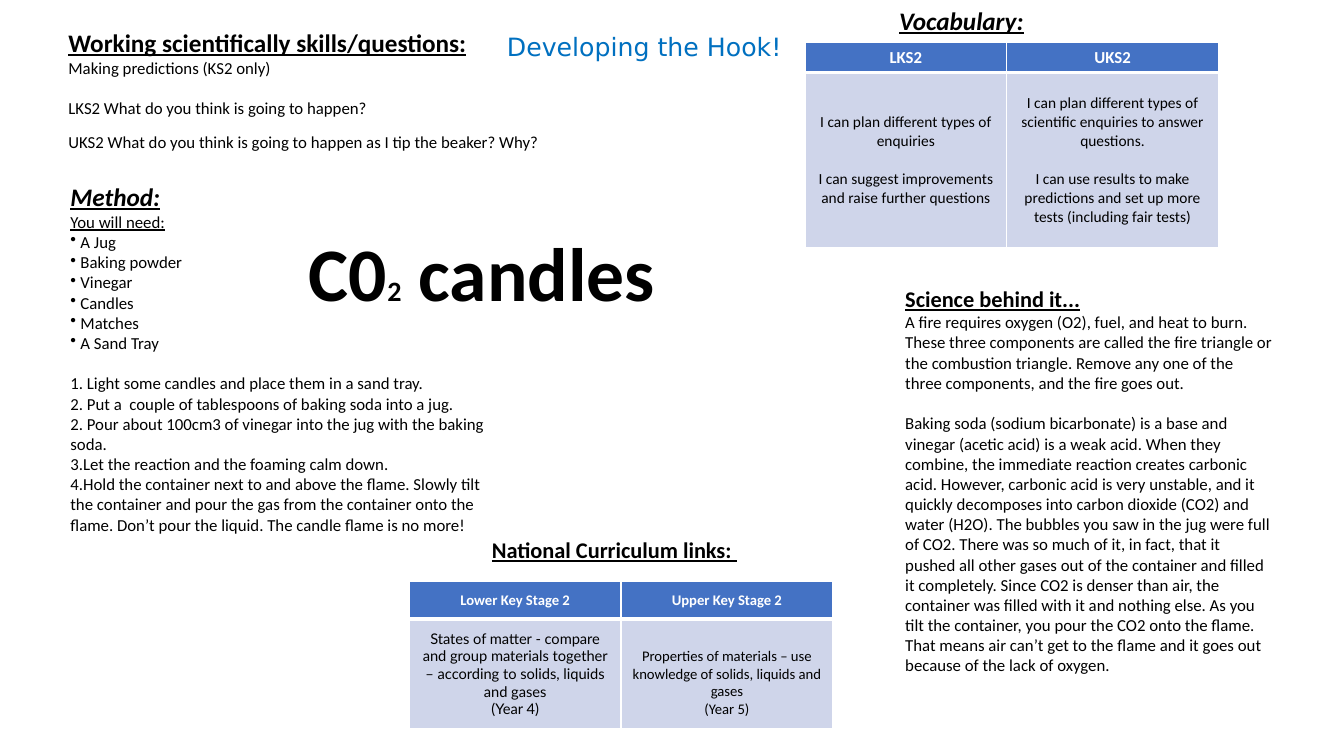
from lxml import etree
from pptx import Presentation
from pptx import oxml
from pptx import util as u
from pptx.dml.color import RGBColor
from pptx.enum import text as t
from pptx.oxml import ns

COLOURS = {"ink": "000000", "paper": "FFFFFF", "hook": "0070C0",
           "header": "4472C4", "body": "CFD5EA"}
BODY_LINE = 14.6
VOCABULARY_LINE = 13.4


def colour(name):
    return RGBColor.from_string(COLOURS[name])


def style(paragraph, size, ink="ink", face="Calibri", bold=False,
          italic=False, underline=False, before=0):
    font = paragraph.font
    font.size = u.Pt(size)
    font.name = face
    font.bold = bold
    font.italic = italic
    font.underline = underline
    font.color.rgb = colour(ink)
    paragraph.space_before = u.Pt(before)


def add_bullet(paragraph):
    properties = paragraph._p.get_or_add_pPr()
    properties.set("marL", str(u.Inches(0.1)))
    properties.set("indent", str(-u.Inches(0.1)))
    bullet = oxml.parse_xml(f'<a:buChar {ns.nsdecls("a")} char="•"/>')
    properties.insert_element_before(bullet, "a:tabLst", "a:defRPr", "a:extLst")


def fill_frame(frame, lines, align=t.PP_ALIGN.LEFT):
    for index, (words, options) in enumerate(lines):
        paragraph = frame.paragraphs[0] if index == 0 else frame.add_paragraph()
        options = dict(options)
        bulleted = options.pop("bullet", False)
        paragraph.text = words
        paragraph.alignment = align
        style(paragraph, **options)
        if bulleted:
            add_bullet(paragraph)


def add_text(slide, box, lines):
    frame = slide.shapes.add_textbox(*map(u.Inches, box)).text_frame
    frame.word_wrap = True
    fill_frame(frame, lines)
    return frame


def outline(run):
    line = oxml.parse_xml(
        f'<a:ln {ns.nsdecls("a")} w="{u.Pt(0.75)}"><a:solidFill>'
        f'<a:srgbClr val="{COLOURS["paper"]}"/></a:solidFill></a:ln>')
    run._r.get_or_add_rPr().insert(0, line)


def add_title(slide):
    frame = add_text(slide, (0.59, 2.19, 8.38, 1.01), [("", {"size": 54, "bold": True})])
    title = frame.paragraphs[0]
    title.alignment = t.PP_ALIGN.CENTER
    for words, size in [("C0", 54), ("2", 20), (" candles", 54)]:
        run = title.add_run()
        run.text = words
        run.font.size = u.Pt(size)
        outline(run)


def add_borders(cell, bottom):
    properties = cell._tc.get_or_add_tcPr()
    for side, width in [("lnL", 1), ("lnR", 1), ("lnT", 1), ("lnB", bottom)]:
        border = etree.SubElement(properties, ns.qn(f"a:{side}"), w=str(u.Pt(width)))
        fill = etree.SubElement(border, ns.qn("a:solidFill"))
        etree.SubElement(fill, ns.qn("a:srgbClr"), val=COLOURS["paper"])


def add_table(slide, box, widths, heights, rows):
    table = slide.shapes.add_table(
        len(rows), len(widths), *map(u.Inches, box)).table
    for column, width in zip(table.columns, widths):
        column.width = u.Inches(width)
    for index, (row, height) in enumerate(zip(rows, heights)):
        table.rows[index].height = u.Inches(height)
        for cell, lines in zip(table.rows[index].cells, row):
            add_borders(cell, 3 if index == 0 else 1)
            cell.fill.solid()
            cell.fill.fore_color.rgb = colour("header" if index == 0 else "body")
            cell.vertical_anchor = t.MSO_ANCHOR.MIDDLE
            fill_frame(cell.text_frame, lines, t.PP_ALIGN.CENTER)
    return table


def main():
    deck = Presentation()
    deck.slide_width, deck.slide_height = u.Inches(13.33), u.Inches(7.5)
    slide = deck.slides.add_slide(deck.slide_layouts[6])

    plain = {"size": 12}
    spaced = {"size": 12, "before": BODY_LINE}
    heading = {"size": 18, "bold": True, "underline": True}
    small_heading = {**heading, "size": 16}
    slanted_heading = {**heading, "italic": True}

    equipment = ["A Jug", "Baking powder", "Vinegar", "Candles", "Matches", "A Sand Tray"]
    steps = [
        "2. Put a  couple of tablespoons of baking soda into a jug.",
        "2. Pour about 100cm3 of vinegar into the jug with the baking soda.",
        "3.Let the reaction and the foaming calm down.",
        "4.Hold the container next to and above the flame. Slowly tilt the container "
        "and pour the gas from the container onto the flame. Don’t pour the liquid. "
        "The candle flame is no more!",
    ]
    add_text(slide, (0.6, 1.75, 4.33, 5.15), [
        ("Method:", slanted_heading),
        ("You will need:", {"size": 12, "underline": True}),
        *[(item, {"size": 12, "bullet": True}) for item in equipment],
        ("1. Light some candles and place them in a sand tray.", spaced),
        *[(step, plain) for step in steps],
    ])
    add_text(slide, (0.58, 0.22, 6.09, 2.1), [
        ("Working scientifically skills/questions:", heading),
        ("Making predictions (KS2 only)", plain),
        ("LKS2 What do you think is going to happen?", spaced),
        ("UKS2 What do you think is going to happen as I tip the beaker? Why?",
         {"size": 12, "before": 10}),
    ])
    add_text(slide, (4.78, 5.27, 3.19, 1.45),
             [("National Curriculum links: ", small_heading)])
    add_text(slide, (8.82, 0, 3.9, 0.84), [("Vocabulary:", slanted_heading)])
    add_title(slide)
    add_text(slide, (8.88, 2.78, 3.84, 4.21), [
        ("Science behind it...", small_heading),
        ("A fire requires oxygen (O2), fuel, and heat to burn. These three components "
         "are called the fire triangle or the combustion triangle. Remove any one of "
         "the three components, and the fire goes out.", plain),
        ("Baking soda (sodium bicarbonate) is a base and vinegar (acetic acid) is a "
         "weak acid. When they combine, the immediate reaction creates carbonic acid. "
         "However, carbonic acid is very unstable, and it quickly decomposes into "
         "carbon dioxide (CO2) and water (H2O). The bubbles you saw in the jug were "
         "full of CO2. There was so much of it, in fact, that it pushed all other "
         "gases out of the container and filled it completely. Since CO2 is denser "
         "than air, the container was filled with it and nothing else. As you tilt "
         "the container, you pour the CO2 onto the flame. That means air can’t get to "
         "the flame and it goes out because of the lack of oxygen.", spaced),
    ])
    add_text(slide, (4.93, 0.26, 3, 0.4), [
        ("Developing the Hook!", {"size": 18, "ink": "hook", "face": "DejaVu Sans"})])

    stage_header = {"size": 10.5, "ink": "paper", "bold": True}
    lower = {"size": 10.5, "face": "Lato"}
    upper = {"size": 10.5}
    curriculum = add_table(slide, (4.06, 5.77, 4.2, 1.46), (2.1, 2.1), (0.37, 1.09), [
        [[("Lower Key Stage 2", stage_header)], [("Upper Key Stage 2", stage_header)]],
        [[("States of matter - compare and group materials together – according to "
           "solids, liquids and gases", lower), ("(Year 4)", lower)],
         [("Properties of materials – use knowledge of solids, liquids and gases", upper),
          ("(Year 5)", upper)]],
    ])
    curriculum.cell(1, 1).margin_top = u.Inches(0.23)

    key_header = {**stage_header, "size": 12}
    skill = {"size": 11}
    next_skill = {"size": 11, "before": VOCABULARY_LINE}
    add_table(slide, (7.99, 0.42, 4.1, 2.03), (1.99, 2.11), (0.29, 1.74), [
        [[("LKS2", key_header)], [("UKS2", key_header)]],
        [[("I can plan different types of enquiries", skill),
          ("I can suggest improvements and raise further questions", next_skill)],
         [("I can plan different types of scientific enquiries to answer questions.", skill),
          ("I can use results to make", next_skill),
          ("predictions and set up more tests (including fair tests)", skill)]],
    ])
    deck.save("out.pptx")


if __name__ == "__main__":
    main()
